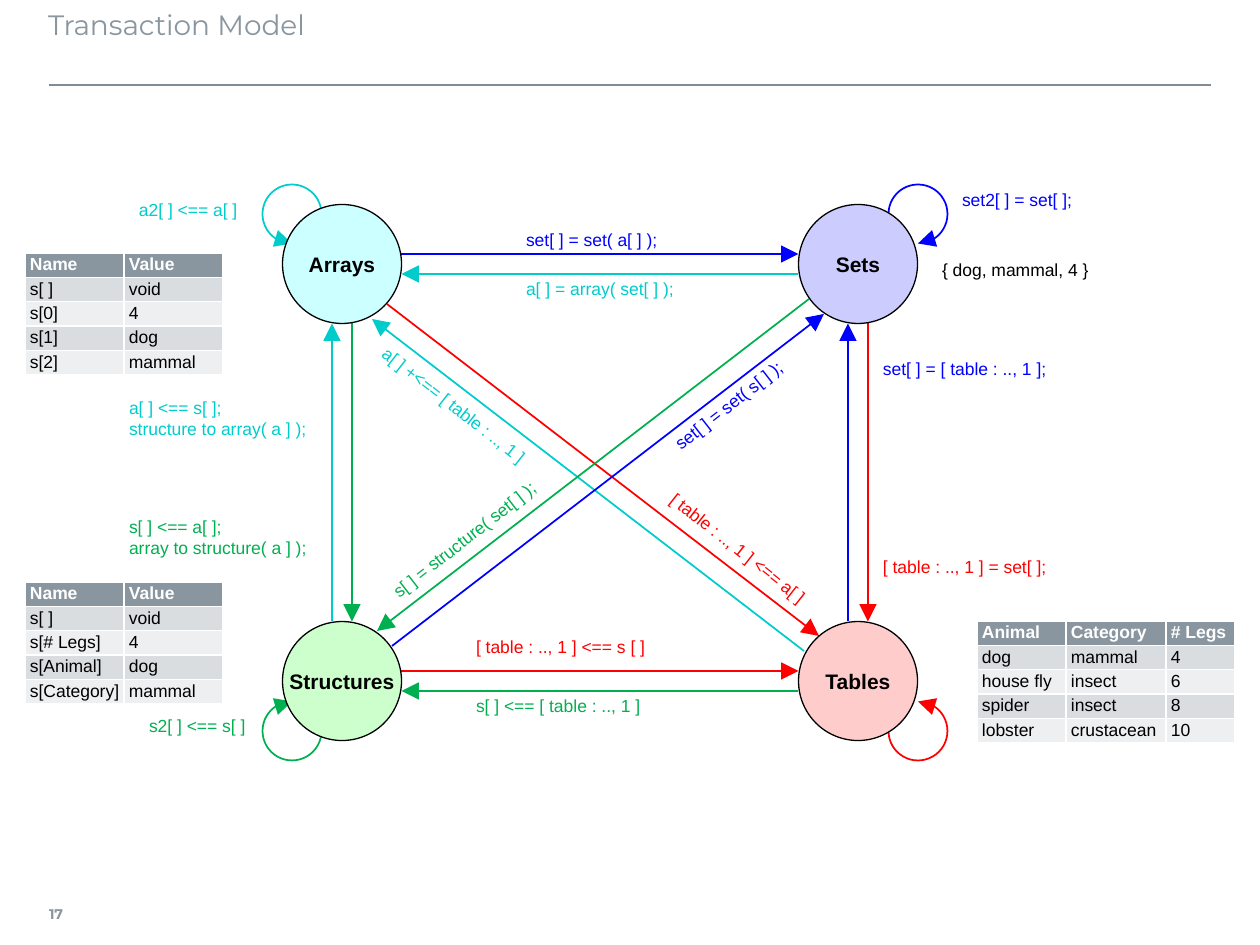
from lxml.etree import SubElement
from pptx import Presentation
from pptx.dml.color import RGBColor
from pptx.enum.shapes import MSO_CONNECTOR, MSO_SHAPE
from pptx.enum.text import MSO_ANCHOR as ANCHOR, MSO_AUTO_SIZE, PP_ALIGN as ALIGN
from pptx.oxml.ns import qn
from pptx.util import Pt

BLACK = RGBColor(0x00, 0x00, 0x00)
WHITE = RGBColor(0xFF, 0xFF, 0xFF)
SLATE = RGBColor(0x89, 0x96, 0xA0)
RULE = RGBColor(0x80, 0x8D, 0x97)
BANDS = RGBColor(0xDA, 0xDD, 0xDF), RGBColor(0xED, 0xEF, 0xF0)
CYAN = RGBColor(0x00, 0xCC, 0xCC)
BLUE = RGBColor(0x00, 0x00, 0xFF)
RED = RGBColor(0xFF, 0x00, 0x00)
GREEN = RGBColor(0x00, 0xB0, 0x50)
PALE_CYAN = RGBColor(0xCC, 0xFF, 0xFF)
PALE_BLUE = RGBColor(0xCC, 0xCC, 0xFF)
PALE_RED = RGBColor(0xFF, 0xCC, 0xCC)
PALE_GREEN = RGBColor(0xCC, 0xFF, 0xCC)

R, LOOP_R, GAP = 59.5, 29.5, 10
LABEL_W, LABEL_H, ROW_H = 198, 30, 24.4

NODES = {
    "Arrays": (342, 264, PALE_CYAN),
    "Sets": (858, 264, PALE_BLUE),
    "Structures": (342, 681, PALE_GREEN),
    "Tables": (858, 681, PALE_RED),
}
LOOPS = [
    ("Arrays", (-50, -50), 90, 0, "headEnd", CYAN),
    ("Sets", (60, -50), 180, 90, "tailEnd", BLUE),
    ("Structures", (-50, 50), 0, 270, "tailEnd", GREEN),
    ("Tables", (60, 50), 270, 180, "headEnd", RED),
]
ARROWS = [
    ("Arrays", (R, -GAP), "Sets", (-R, -GAP), BLUE),
    ("Sets", (-R, GAP), "Arrays", (R, GAP), CYAN),
    ("Structures", (R, -GAP), "Tables", (-R, -GAP), RED),
    ("Tables", (-R, GAP), "Structures", (R, GAP), GREEN),
    ("Structures", (-GAP, -R), "Arrays", (-GAP, R), CYAN),
    ("Arrays", (GAP, R), "Structures", (GAP, -R), GREEN),
    ("Tables", (-GAP, -R), "Sets", (-GAP, R), BLUE),
    ("Sets", (GAP, R), "Tables", (GAP, -R), RED),
    ("Tables", (-54, -30), "Arrays", (30, 55), CYAN),
    ("Arrays", (45, 40), "Tables", (-39, -45), RED),
    ("Sets", (-49, 35), "Structures", (35, -50), GREEN),
    ("Structures", (50, -35), "Sets", (-34, 50), BLUE),
]
LABELS = [
    (134, 194, CYAN, 0, ["a2[ ] <== a[ ]"]),
    (144, 710, GREEN, 0, ["s2[ ] <== s[ ]"]),
    (957, 184, BLUE, 0, ["set2[ ] = set[ ];"]),
    (937, 254, BLACK, 0, ["{ dog, mammal, 4 }"]),
    (521, 224, BLUE, 0, ["set[ ] = set( a[ ] );"]),
    (521, 273, CYAN, 0, ["a[ ] = array( set[ ] );"]),
    (471, 631, RED, 0, ["[ table : .., 1 ] <== s [ ]"]),
    (471, 690, GREEN, 0, ["s[ ] <== [ table : .., 1 ]"]),
    (878, 353, BLUE, 0, ["set[ ] = [ table : .., 1 ];"]),
    (878, 551, RED, 0, ["[ table : .., 1 ] = set[ ];"]),
    (124, 403, CYAN, 0, ["a[ ] <== s[ ];", "structure to array( a ] );"]),
    (124, 522, GREEN, 0, ["s[ ] <== a[ ];", "array to structure( a ] );"]),
    (360, 394, CYAN, 38, ["a[ ] +<== [ table : .., 1 ]"]),
    (648, 540, RED, 38.3, ["[ table : .., 1 ] <== a[ ]"]),
    (370, 520, GREEN, -38, ["s[ ] = structure( set[ ] );"]),
    (652, 372, BLUE, -38, ["set[ ] = set( s[ ] );"]),
]
TABLES = [
    (25, 253, (99, 99), [
        ("Name", "Value"), ("s[ ]", "void"), ("s[0]", "4"),
        ("s[1]", "dog"), ("s[2]", "mammal")]),
    (25, 582, (99, 99), [
        ("Name", "Value"), ("s[ ]", "void"), ("s[# Legs]", "4"),
        ("s[Animal]", "dog"), ("s[Category]", "mammal")]),
    (977, 621, (89, 100, 69), [
        ("Animal", "Category", "# Legs"), ("dog", "mammal", "4"),
        ("house fly", "insect", "6"), ("spider", "insect", "8"),
        ("lobster", "crustacean", "10")]),
]


def px(*values):
    return [round(v * 914400 / 126) for v in values]


def write(tf, lines, size=10, font="Arial", color=BLACK, bold=False,
          align=ALIGN.LEFT, anchor=ANCHOR.MIDDLE, ins=(5, 5, 5, 5), wrap=False):
    tf.word_wrap, tf.auto_size, tf.vertical_anchor = wrap, MSO_AUTO_SIZE.NONE, anchor
    tf.margin_left, tf.margin_top, tf.margin_right, tf.margin_bottom = px(*ins)
    for i, line in enumerate(lines):
        p = tf.add_paragraph() if i else tf.paragraphs[0]
        p.alignment = align
        r = p.add_run()
        r.text = line
        r.font.size, r.font.name, r.font.bold = Pt(size), font, bold
        r.font.color.rgb = color


def add_arrowhead(sp, end):
    ln = sp.element.spPr.find(qn("a:ln"))
    SubElement(ln, qn("a:" + end), type="triangle", w="lg", len="lg")


def add_line(start, end, color, arrow=True):
    c = s.shapes.add_connector(MSO_CONNECTOR.STRAIGHT, *px(*start, *end))
    c.line.color.rgb, c.line.width = color, Pt(1)
    if arrow:
        add_arrowhead(c, "tailEnd")
    SubElement(c.element.spPr, qn("a:effectLst"))


def add_round(kind, cx, cy, radius, line, width):
    sp = s.shapes.add_shape(kind, *px(cx - radius, cy - radius, 2 * radius, 2 * radius))
    sp.shadow.inherit = False
    sp.line.color.rgb, sp.line.width = line, Pt(width)
    return sp


def from_node(name, offset):
    x, y, _ = NODES[name]
    return x + offset[0], y + offset[1]


prs = Presentation()
prs.slide_width, prs.slide_height = px(1260, 945)
s = prs.slides.add_slide(prs.slide_layouts[5])

title = s.shapes.title
title.left, title.top, title.width, title.height = px(48, 2, 1160, 79)
write(title.text_frame, ["Transaction Model"], size=16, font="Montserrat", color=SLATE,
      anchor=ANCHOR.TOP, ins=(0, 6, 13, 6), wrap=True)
add_line((49, 85), (1211, 85), RULE, arrow=False)
number = s.shapes.add_textbox(*px(49, 889, 44, 49))
write(number.text_frame, ["17"], size=8, font="Montserrat", color=SLATE, bold=True,
      ins=(0, 6, 10, 6))

for name, offset, start, end, arrow_end, color in LOOPS:
    loop = add_round(MSO_SHAPE.ARC, *from_node(name, offset), LOOP_R, color, 1)
    loop.fill.background()
    for i, angle in enumerate((start, end)):
        loop.adjustments[i] = angle * 0.6
    add_arrowhead(loop, arrow_end)

for start, start_offset, end, end_offset, color in ARROWS:
    add_line(from_node(start, start_offset), from_node(end, end_offset), color)

for name, (x, y, fill) in NODES.items():
    node = add_round(MSO_SHAPE.OVAL, x, y, R, BLACK, 0.75)
    node.fill.solid()
    node.fill.fore_color.rgb = fill
    write(node.text_frame, [name], size=12, bold=True, align=ALIGN.CENTER)

for x, y, color, rotation, lines in LABELS:
    label = s.shapes.add_textbox(*px(x, y, LABEL_W, LABEL_H))
    label.rotation = rotation
    write(label.text_frame, lines, color=color)

for x, y, widths, rows in TABLES:
    table = s.shapes.add_table(len(rows), len(widths),
                               *px(x, y, sum(widths), ROW_H * len(rows))).table
    for col, width in zip(table.columns, px(*widths)):
        col.width = width
    for i, row in enumerate(rows):
        for j, text in enumerate(row):
            cell = table.cell(i, j)
            cell.fill.solid()
            cell.fill.fore_color.rgb = BANDS[(i - 1) % 2] if i else SLATE
            cell.margin_left, cell.margin_top, cell.margin_right, cell.margin_bottom = px(5, 2, 1, 2)
            p = cell.text_frame.paragraphs[0]
            r = p.add_run()
            r.text = text
            r.font.size, r.font.name, r.font.bold = Pt(10), "Arial", i == 0
            r.font.color.rgb = BLACK if i else WHITE

prs.save("out.pptx")
